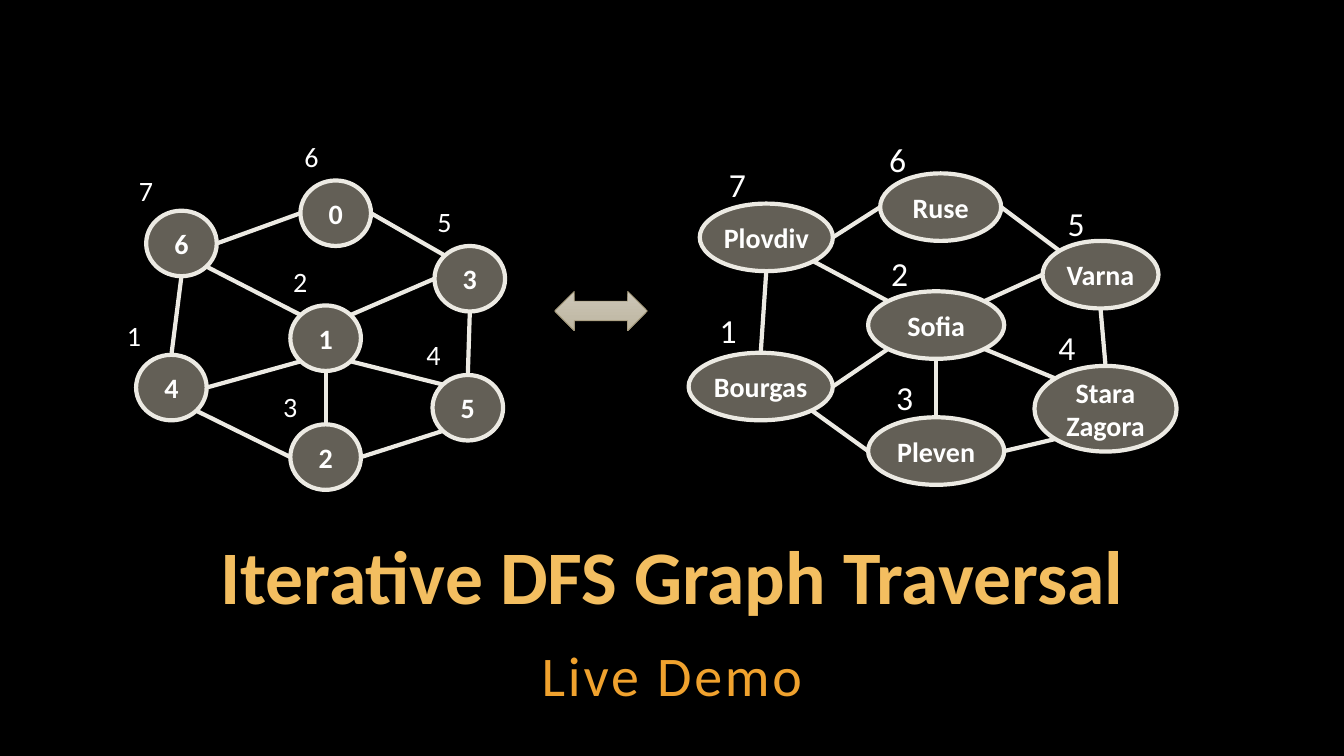
from math import cos, radians, sin
from lxml import etree
from pptx import Presentation
from pptx.dml.color import RGBColor
from pptx.enum.shapes import MSO_CONNECTOR, MSO_SHAPE
from pptx.enum.text import MSO_ANCHOR, MSO_AUTO_SIZE, PP_ALIGN
from pptx.oxml.ns import qn
from pptx.util import Inches, Pt

LINE = MSO_CONNECTOR.STRAIGHT
OVAL, ARROW = MSO_SHAPE.OVAL, MSO_SHAPE.LEFT_RIGHT_ARROW
TOP, MIDDLE, BOTTOM = MSO_ANCHOR.TOP, MSO_ANCHOR.MIDDLE, MSO_ANCHOR.BOTTOM
CENTER, LEFT = PP_ALIGN.CENTER, PP_ALIGN.LEFT
NO_FIT, GROW = MSO_AUTO_SIZE.NONE, MSO_AUTO_SIZE.SHAPE_TO_FIT_TEXT

COLORS = {name: RGBColor.from_string(code) for name, code in {
    "back": "000000", "title": "F3BE60", "sub": "F0A22E", "text": "FFFFFF",
    "node": "C7BFAC", "edge": "ECEAE3",
    "light": "CDC7B9", "dark": "BDB59F", "rim": "A19574"}.items()}

# Direction of each point on an ellipse, in degrees clockwise from the right
SITES = {"right": 0, "low right": 45, "bottom": 90, "low left": 135,
         "left": 180, "top left": 225, "top": 270, "top right": 315}

# Both graphs share these edges: node, site, node, site
EDGES = [(0, "left", 6, "right"), (0, "right", 3, "top left"),
         (3, "bottom", 5, "top"), (6, "low right", 1, "top left"),
         (6, "bottom", 4, "top"), (4, "low right", 2, "left"),
         (3, "left", 1, "top right"), (1, "bottom", 2, "top"),
         (5, "low left", 2, "right"), (4, "right", 1, "low left"),
         (1, "low right", 5, "top left")]

# Nodes 0 to 6 as (text, left, top, width, height); labels 1 to 7 as (left, top)
GRAPHS = [
    {"nodes": [("Ruse", 8.73, 1.72, 1.2, 0.67), ("Sofia", 8.61, 2.89, 1.35, 0.67),
               ("Pleven", 8.61, 4.14, 1.35, 0.67), ("Varna", 10.34, 2.39, 1.15, 0.67),
               ("Bourgas", 6.83, 3.5, 1.43, 0.67),
               ("Stara Zagora", 10.26, 3.63, 1.41, 0.85),
               ("Plovdiv", 6.94, 2.02, 1.32, 0.67)],
     "labels": [(7.04, 3.03), (8.74, 2.46), (8.79, 3.69), (10.4, 3.19),
                (10.49, 1.96), (8.72, 1.33), (7.13, 1.58)],
     "box": (0.37, 0.5), "size": 24},
    {"nodes": [(str(i), x, y, 0.7, 0.65) for i, (x, y) in enumerate(
        [(2.98, 1.79), (2.88, 3.03), (2.88, 4.21), (4.31, 2.44),
         (1.35, 3.52), (4.29, 3.72), (1.45, 2.09)])],
     "labels": [(1.16, 3.11), (2.81, 2.57), (2.71, 3.81), (4.13, 3.3),
                (4.24, 1.98), (2.92, 1.33), (1.28, 1.67)],
     "box": (0.42, 0.52), "size": 20},
]


def write(shape, text, color, align, font, frame):
    """Fill a shape with one formatted paragraph."""
    tf = shape.text_frame
    tf.text = text
    for key, value in frame.items():
        setattr(tf, key, value)
    para = tf.paragraphs[0]
    para.alignment = align
    for key, value in {"name": "Calibri", **font}.items():
        setattr(para.runs[0].font, key, value)
    para.runs[0].font.color.rgb = COLORS[color]
    return para


def site(node, name):
    """Return the point of a node's ellipse at a named site."""
    _, x, y, w, h = node
    turn = radians(SITES[name])
    return Inches(x + w / 2 * (1 + cos(turn))), Inches(y + h / 2 * (1 + sin(turn)))


deck = Presentation()
deck.slide_width, deck.slide_height = Inches(13.33), Inches(7.5)
slide = deck.slides.add_slide(deck.slide_layouts[1])
slide.background.fill.solid()
slide.background.fill.fore_color.rgb = COLORS["back"]

# Title and subtitle
title, sub = slide.shapes.title, slide.placeholders[1]
for shape, top, height in ((title, 5.3, 0.9), (sub, 6.28, 0.79)):
    shape.left, shape.top = Inches(1), Inches(top)
    shape.width, shape.height = Inches(11.33), Inches(height)
sides = ("margin_left", "margin_right", "margin_top", "margin_bottom")
tight = {"word_wrap": True, "auto_size": NO_FIT, **dict.fromkeys(sides, Inches(0.04))}
para = write(title, "Iterative DFS Graph Traversal", "title", CENTER,
             {"size": Pt(54), "bold": True}, {**tight, "vertical_anchor": BOTTOM})
para.line_spacing = 0.9
para = write(sub, "Live Demo", "sub", CENTER, {"size": Pt(40)},
             {**tight, "vertical_anchor": TOP})
for key, value in {"line_spacing": 1.05, "space_before": Pt(0),
                   "space_after": Pt(6)}.items():
    setattr(para, key, value)
props = para._p.get_or_add_pPr()
props.set("marL", "0")
props.set("indent", "0")
etree.SubElement(props, qn("a:buNone"))
para.runs[0]._r.get_or_add_rPr().set("spc", "200")

# Arrow between the graphs
arrow = slide.shapes.add_shape(ARROW, Inches(5.5), Inches(2.89), Inches(0.92), Inches(0.39))
arrow.shadow.inherit = False
arrow.fill.gradient()
arrow.fill.gradient_angle = 270
for stop, name in zip(arrow.fill.gradient_stops, ("light", "dark")):
    stop.color.rgb = COLORS[name]
arrow.line.color.rgb = COLORS["rim"]
arrow.line.width = Pt(0.5)

# Graphs
inner = {"word_wrap": True, "vertical_anchor": MIDDLE,
         "margin_left": Inches(0.03), "margin_right": Inches(0.03)}
for graph in GRAPHS:
    group = slide.shapes.add_group_shape().shapes
    nodes = graph["nodes"]

    # Edges
    for start, leave, end, enter in EDGES:
        edge = group.add_connector(LINE, *site(nodes[start], leave), *site(nodes[end], enter))
        edge.line.color.rgb = COLORS["edge"]
        edge.line.width = Pt(3)
        etree.SubElement(edge._element.spPr, qn("a:effectLst"))

    # Nodes
    for text, *place in nodes:
        node = group.add_shape(OVAL, *map(Inches, place))
        node.shadow.inherit = False
        node.fill.solid()
        node.fill.fore_color.rgb = COLORS["node"]
        tint = node._element.spPr.find(qn("a:solidFill"))[0]
        etree.SubElement(tint, qn("a:alpha"), val="50000")
        node.line.color.rgb = COLORS["edge"]
        node.line.width = Pt(3)
        write(node, text, "text", CENTER, {"size": Pt(20), "bold": True}, inner)

    # Visit order
    for order, spot in enumerate(graph["labels"], 1):
        label = group.add_textbox(*map(Inches, spot + graph["box"]))
        write(label, str(order), "text", LEFT, {"size": Pt(graph["size"])},
              {"word_wrap": False, "auto_size": GROW})

deck.save("out.pptx")
